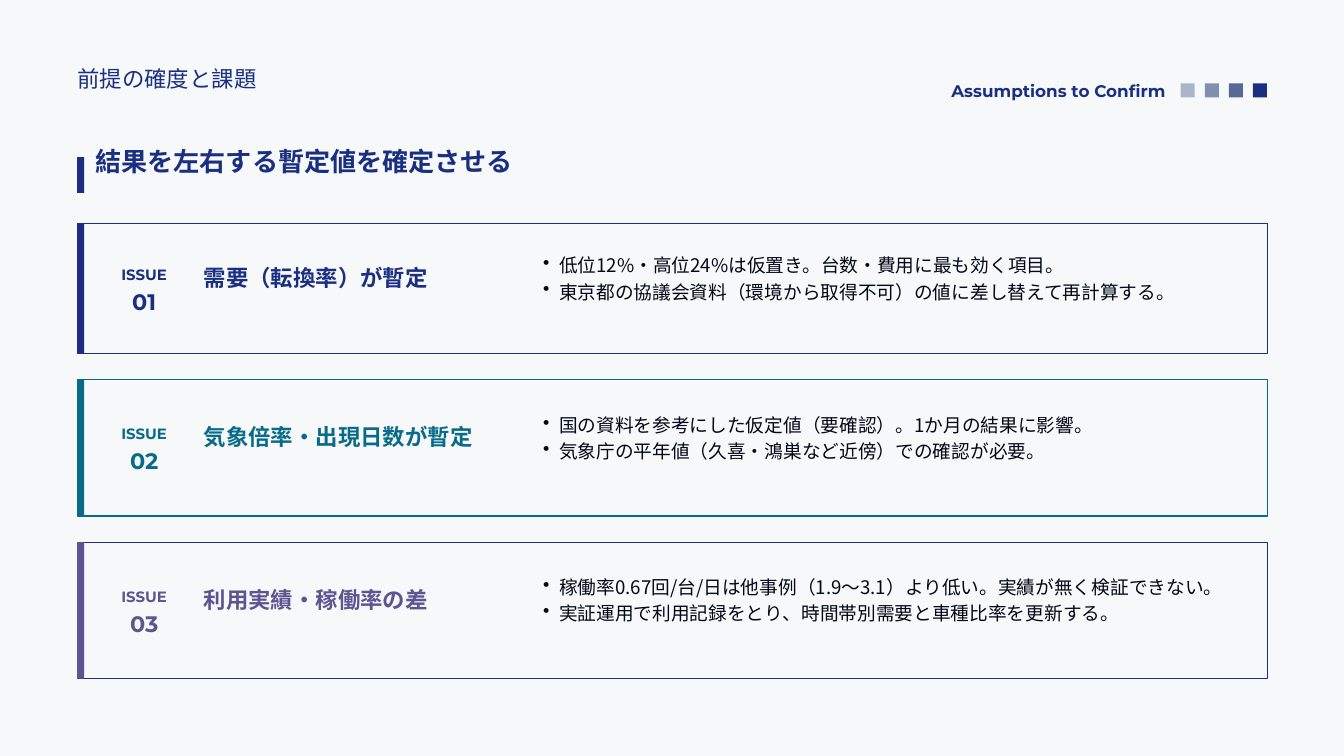
"""Build the slide of assumptions still to be confirmed."""
import pptx
import pptx.dml.color
import pptx.enum.shapes
import pptx.enum.text
import pptx.oxml.ns
import pptx.util
from lxml import etree

Cm = pptx.util.Cm
Pt = pptx.util.Pt
RGB = pptx.dml.color.RGBColor
Align = pptx.enum.text.PP_ALIGN
qn = pptx.oxml.ns.qn

NAVY = RGB(0x1A, 0x2F, 0x81)
TEAL = RGB(0x08, 0x6B, 0x89)
PLUM = RGB(0x5D, 0x54, 0x91)
INK = RGB(0x01, 0x08, 0x17)
PAPER = RGB(0xF7, 0xF8, 0xF9)
TINTS = [RGB(0xAB, 0xB5, 0xCA), RGB(0x80, 0x8F, 0xB0), RGB(0x56, 0x6A, 0x95), NAVY]

SANS = "Noto Sans CJK JP"
LATIN = "Montserrat"
LEFT, WIDTH, BAR = 2.92, 44.98, 0.26
TOP, GAP = 8.46, 0.99

ISSUES = [
    (4.9, NAVY, NAVY, "需要（転換率）が暫定", [
        "低位12%・高位24%は仮置き。台数・費用に最も効く項目。",
        "東京都の協議会資料（環境から取得不可）の値に差し替えて再計算する。"]),
    (5.16, TEAL, TEAL, "気象倍率・出現日数が暫定", [
        "国の資料を参考にした仮定値（要確認）。1か月の結果に影響。",
        "気象庁の平年値（久喜・鴻巣など近傍）での確認が必要。"]),
    (5.16, PLUM, NAVY, "利用実績・稼働率の差", [
        "稼働率0.67回/台/日は他事例（1.9〜3.1）より低い。実績が無く検証できない。",
        "実証運用で利用記録をとり、時間帯別需要と車種比率を更新する。"]),
]


class Deck:
    """Holds the style and the current slide."""

    frame = {"margin_left": 0, "margin_top": 0, "margin_right": 0, "margin_bottom": 0,
             "word_wrap": True, "vertical_anchor": pptx.enum.text.MSO_ANCHOR.TOP,
             "auto_size": pptx.enum.text.MSO_AUTO_SIZE.SHAPE_TO_FIT_TEXT}
    leading = 1.4

    def __init__(self):
        self.file = pptx.Presentation()
        self.file.slide_width, self.file.slide_height = Cm(50.8), Cm(28.58)
        self.slide = self.file.slides.add_slide(self.file.slide_layouts[5])
        fill = self.slide.background.fill
        fill.solid()
        fill.fore_color.rgb = PAPER

    def rect(self, box, fill=None, line=None):
        kind = pptx.enum.shapes.MSO_SHAPE.RECTANGLE
        shape = self.slide.shapes.add_shape(kind, *map(Cm, box))
        shape.shadow.inherit = False
        if fill is None:
            shape.fill.background()
        else:
            shape.fill.solid()
            shape.fill.fore_color.rgb = fill
        if line is None:
            shape.line.fill.background()
        else:
            shape.line.color.rgb = line
            shape.line.width = Pt(1.5)

    def title(self, box, text, size, color):
        shape = self.slide.shapes.title
        for name, value in zip(("left", "top", "width", "height"), box):
            setattr(shape, name, Cm(value))
        self.typeset(shape.text_frame, [text], size, color, bold=False)

    def text(self, box, lines, size, color, **style):
        shape = self.slide.shapes.add_textbox(*map(Cm, box))
        self.typeset(shape.text_frame, lines, size, color, **style)

    def typeset(self, frame, lines, size, color, face=SANS, bold=True,
                align=Align.LEFT, dots=False):
        for name, value in self.frame.items():
            setattr(frame, name, value)
        for i, line in enumerate(lines):
            para = frame.paragraphs[0] if i == 0 else frame.add_paragraph()
            form = {"alignment": align, "line_spacing": Pt(size * self.leading),
                    "space_before": Pt(0)}
            for name, value in form.items():
                setattr(para, name, value)
            if dots:
                self.dot(para)
            run = para.add_run()
            run.text = line
            for name, value in {"name": face, "size": Pt(size), "bold": bold}.items():
                setattr(run.font, name, value)
            run.font.color.rgb = color
            etree.SubElement(run._r.get_or_add_rPr(), qn("a:ea"), typeface=face)

    def dot(self, para):
        para.level = 1
        prop = para._p.get_or_add_pPr()
        prop.set("marL", str(Cm(1.19)))
        prop.set("indent", str(Cm(-0.6)))
        etree.SubElement(prop, qn("a:buChar"), char="•")

    def card(self, top, high, tone, edge, label, head, notes):
        mid = top + high / 2
        self.rect((LEFT, top, WIDTH, high), line=edge)
        self.rect((LEFT, top, BAR, high), fill=tone)
        tag = {"face": LATIN, "align": Align.CENTER}
        self.text((4.09, mid - 0.98, 2.72, 0.74), ["ISSUE"], 16, tone, **tag)
        self.text((4.09, mid - 0.2, 2.72, 1.09), [label], 24, tone, **tag)
        self.text((7.7, mid - 1.1, 12.65, 1.6), [head], 24, tone)
        self.text((19.94, mid - 1.44, 26.9, 2.34), notes, 20, INK, bold=False, dots=True)


def main():
    deck = Deck()
    deck.title((LEFT, 2.31, 22.48, 1.6), "前提の確度と課題", 24, NAVY)
    deck.text((25.48, 2.92, 18.57, 0.86), ["Assumptions to Confirm"], 18, NAVY,
              face=LATIN, align=Align.RIGHT)
    for i, tint in enumerate(TINTS):
        deck.rect((44.63 + 0.91 * i, 3.15, 0.53, 0.53), fill=tint)
    deck.rect((LEFT, 5.94, BAR, 1.35), fill=NAVY)
    deck.text((3.61, 5.31, 21.13, 1.9), ["結果を左右する暫定値を確定させる"], 28, NAVY)
    top = TOP
    for i, (high, tone, edge, head, notes) in enumerate(ISSUES, 1):
        deck.card(top, high, tone, edge, f"{i:02}", head, notes)
        top += high + GAP
    deck.file.save("out.pptx")


if __name__ == "__main__":
    main()
